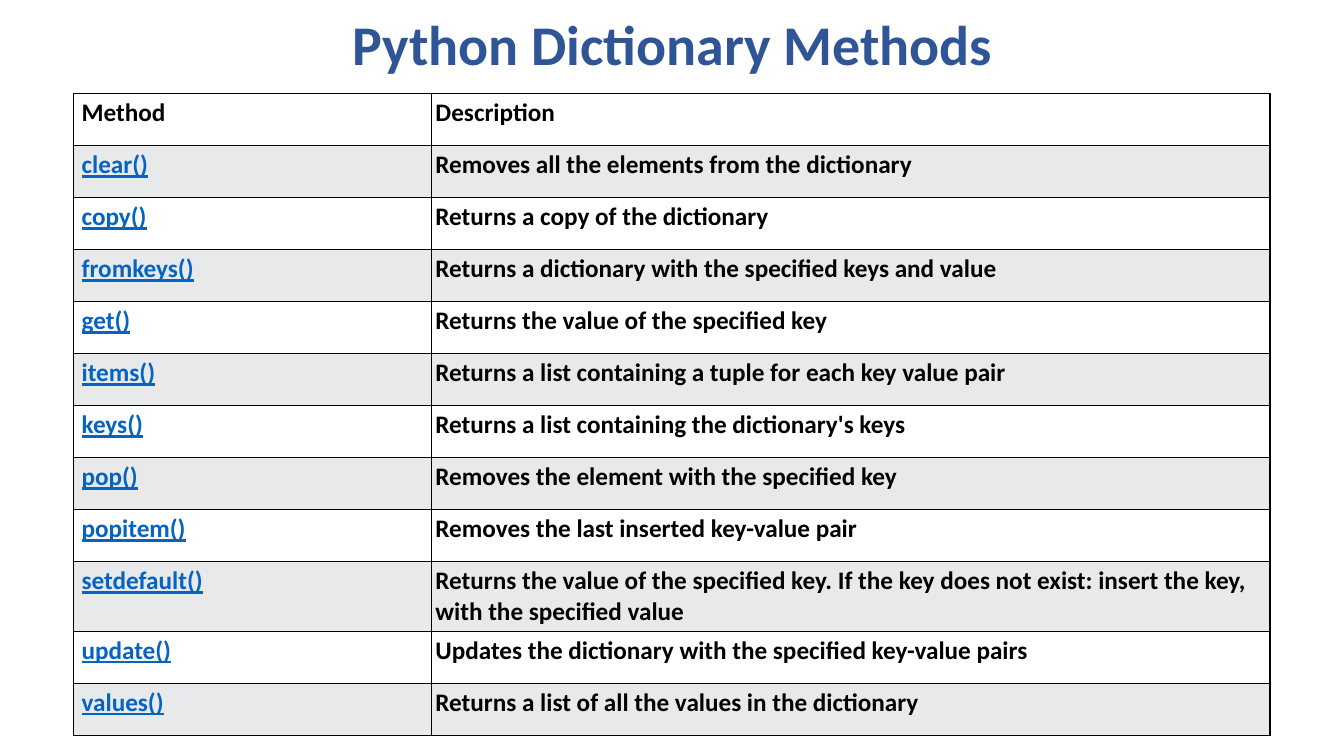
"""Build a slide with a table of Python dictionary methods."""
from pptx import Presentation
from pptx.dml.color import RGBColor
from pptx.enum.text import MSO_ANCHOR, PP_ALIGN
from pptx.oxml import parse_xml
from pptx.oxml.ns import nsdecls
from pptx.util import Inches, Pt

CENTER = PP_ALIGN.CENTER
MIDDLE = MSO_ANCHOR.MIDDLE
TITLE_ONLY = 5
BLACK, WHITE, GREY = "000000", "FFFFFF", "E7E9EB"
TITLE_BLUE, LINK_BLUE = "2F5597", "0563C1"
COLUMN_WIDTHS = (3.55, 8.32)
LEFT_MARGINS = (0.08, 0.04)
ROWS_HEIGHT = 6.19
METHODS = [
    ("Method", "Description"),
    ("clear()", "Removes all the elements from the dictionary"),
    ("copy()", "Returns a copy of the dictionary"),
    ("fromkeys()", "Returns a dictionary with the specified keys and value"),
    ("get()", "Returns the value of the specified key"),
    ("items()", "Returns a list containing a tuple for each key value pair"),
    ("keys()", "Returns a list containing the dictionary's keys"),
    ("pop()", "Removes the element with the specified key"),
    ("popitem()", "Removes the last inserted key-value pair"),
    ("setdefault()", "Returns the value of the specified key. If the key does not exist: "
                     "insert the key, with the specified value"),
    ("update()", "Updates the dictionary with the specified key-value pairs"),
    ("values()", "Returns a list of all the values in the dictionary"),
]


def color(value):
    return RGBColor.from_string(value)


def style_font(font, size, value):
    font.name = "Calibri"
    font.size = Pt(size)
    font.bold = True
    font.color.rgb = color(value)


deck = Presentation()
deck.slide_width, deck.slide_height = Inches(13.333), Inches(7.5)
page = deck.slides.add_slide(deck.slide_layouts[TITLE_ONLY])

title = page.shapes.title
title.left, title.top = Inches(0.92), 0
title.width, title.height = Inches(11.5), Inches(0.93)
title.text_frame.text = "Python Dictionary Methods"
title.text_frame.vertical_anchor = MIDDLE
heading = title.text_frame.paragraphs[0]
heading.alignment = CENTER
heading.line_spacing = 0.9
style_font(heading.font, 40, TITLE_BLUE)

table = page.shapes.add_table(
    len(METHODS), len(COLUMN_WIDTHS), Inches(0.73), Inches(0.93),
    Inches(sum(COLUMN_WIDTHS)), Inches(ROWS_HEIGHT)).table
for column, width in zip(table.columns, COLUMN_WIDTHS):
    column.width = Inches(width)

for row_index, texts in enumerate(METHODS):
    table.rows[row_index].height = Inches(ROWS_HEIGHT / len(METHODS))
    for column_index, text in enumerate(texts):
        cell = table.cell(row_index, column_index)
        cell.text = text
        cell.margin_left = Inches(LEFT_MARGINS[column_index])
        cell.margin_right = cell.margin_top = cell.margin_bottom = Inches(0.04)
        is_link = row_index > 0 and column_index == 0
        font = cell.text_frame.paragraphs[0].font
        style_font(font, 18, LINK_BLUE if is_link else BLACK)
        font.underline = is_link
        properties = cell._tc.get_or_add_tcPr()
        for side in ("lnL", "lnR", "lnT", "lnB"):
            properties.append(parse_xml(
                f'<a:{side} {nsdecls("a")} w="{Pt(1)}"><a:solidFill>'
                f'<a:srgbClr val="{BLACK}"/></a:solidFill></a:{side}>'))
        cell.fill.solid()
        cell.fill.fore_color.rgb = color(GREY if row_index % 2 else WHITE)

deck.save("out.pptx")
